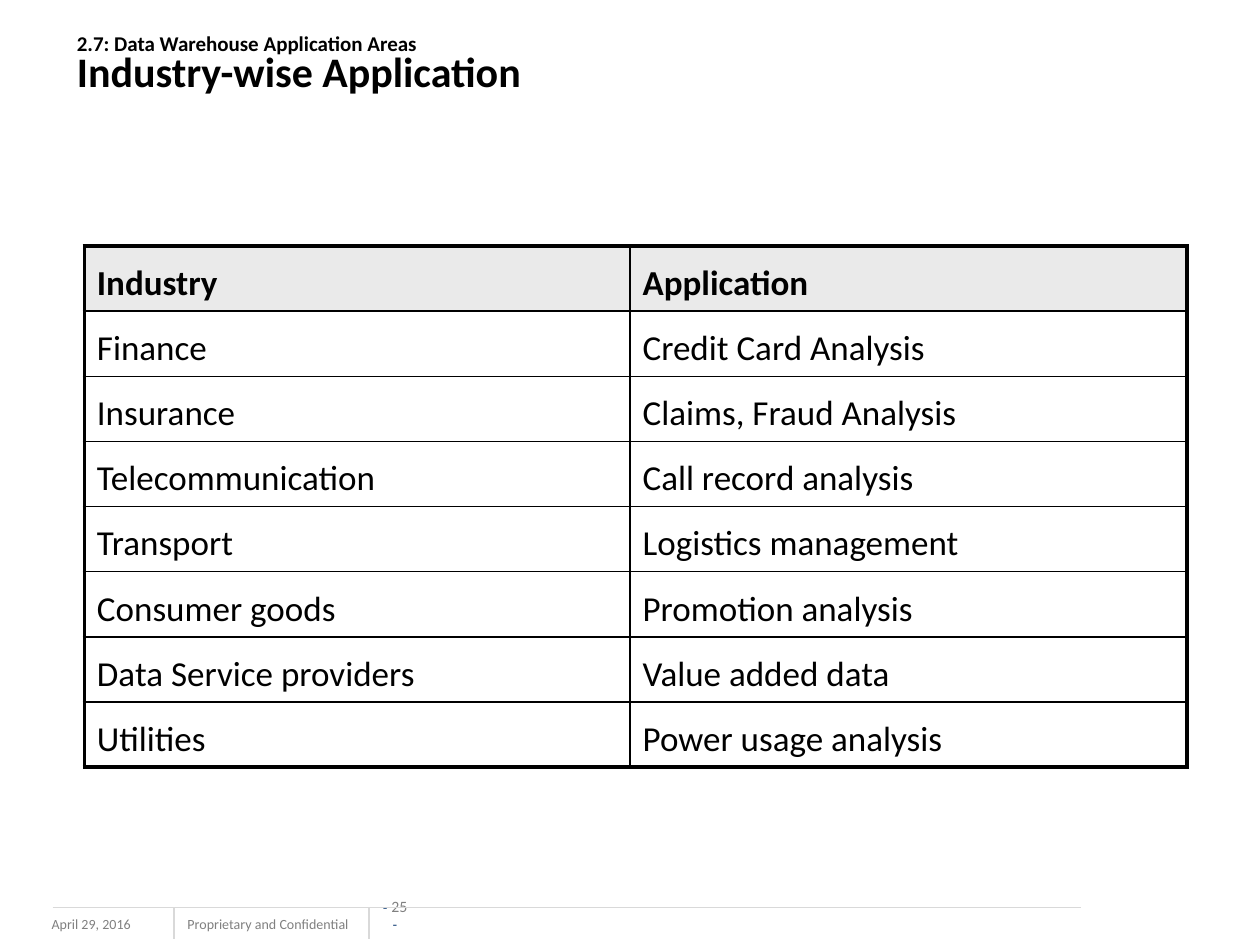
from lxml.etree import SubElement
from pptx import Presentation
from pptx.dml.color import RGBColor
from pptx.enum.shapes import MSO_CONNECTOR
from pptx.enum.text import MSO_ANCHOR, PP_ALIGN
from pptx.oxml.ns import qn
from pptx.util import Cm, Pt

BLACK = RGBColor(0x00, 0x00, 0x00)
WHITE = RGBColor(0xFF, 0xFF, 0xFF)
HEADER_GREY = RGBColor(0xEA, 0xEA, 0xEA)
TEXT_GREY = RGBColor(0x80, 0x80, 0x80)
RULE_GREY = RGBColor(0xD9, 0xD9, 0xD9)
NAVY = RGBColor(0x1F, 0x49, 0x7D)

ROWS = [
    ("Industry", "Application"),
    ("Finance", "Credit Card Analysis"),
    ("Insurance", "Claims, Fraud Analysis"),
    ("Telecommunication", "Call record analysis"),
    ("Transport", "Logistics management"),
    ("Consumer goods", "Promotion analysis"),
    ("Data Service providers", "Value added data"),
    ("Utilities", "Power usage analysis"),
]


def add_run(p, text, size, color, font="Calibri", bold=False):
    r = p.add_run()
    r.text = text
    r.font.name = font
    r.font.size = Pt(size)
    r.font.bold = bold
    r.font.color.rgb = color


def add_text_frame(s, x, y, w, h, anchor=MSO_ANCHOR.TOP, wrap=True):
    tf = s.shapes.add_textbox(Cm(x), Cm(y), Cm(w), Cm(h)).text_frame
    tf.word_wrap = wrap
    tf.vertical_anchor = anchor
    return tf


def add_rule(s, x1, y1, x2, y2):
    line = s.shapes.add_connector(MSO_CONNECTOR.STRAIGHT, Cm(x1), Cm(y1), Cm(x2), Cm(y2))
    line.line.color.rgb = RULE_GREY
    line.line.width = Pt(0.75)
    SubElement(line._element.spPr, qn("a:effectLst"))


def set_borders(cell, widths):
    """Draw black borders; widths maps each side (L, R, T, B) to points."""
    tc_pr = cell._tc.get_or_add_tcPr()
    for side, width in widths.items():
        ln = SubElement(tc_pr, qn(f"a:ln{side}"), w=str(Pt(width)))
        fill = SubElement(ln, qn("a:solidFill"))
        SubElement(fill, qn("a:srgbClr"), val=str(BLACK))


def add_title(s, x, y, w, h):
    tf = add_text_frame(s, x, y, w, h, MSO_ANCHOR.MIDDLE)
    p = tf.paragraphs[0]
    p.line_spacing = 0.8
    add_run(p, "2.7: Data Warehouse Application Areas ", 12, BLACK, bold=True)
    p.add_line_break()
    add_run(p, "Industry-wise Application", 24, BLACK, bold=True)


def add_industry_table(s, x, y, col_widths, row_height):
    n_rows, n_cols = len(ROWS), len(col_widths)
    table = s.shapes.add_table(n_rows, n_cols, Cm(x), Cm(y), Cm(sum(col_widths)),
                               Cm(row_height * n_rows)).table
    for column, width in zip(table.columns, col_widths):
        column.width = Cm(width)
    for i, texts in enumerate(ROWS):
        table.rows[i].height = Cm(row_height)
        for j, text in enumerate(texts):
            cell = table.cell(i, j)
            outer = {"L": j == 0, "R": j == n_cols - 1, "T": i == 0, "B": i == n_rows - 1}
            set_borders(cell, {side: 2.25 if edge else 1 for side, edge in outer.items()})
            cell.fill.solid()
            cell.fill.fore_color.rgb = HEADER_GREY if i == 0 else WHITE
            p = cell.text_frame.paragraphs[0]
            p.line_spacing = Pt(30)
            add_run(p, text, 20, BLACK, bold=i == 0)


def add_footer(s, x, y, w, h):
    dividers = (x + 2.45, x + 6.38)
    date = add_text_frame(s, x - 0.27, y + 0.05, 3.38, h)
    add_run(date.paragraphs[0], "April 29, 2016", 8, TEXT_GREY)
    notice = add_text_frame(s, dividers[0] + 0.02, y + 0.05, 4, h, wrap=False)
    add_run(notice.paragraphs[0], "Proprietary and Confidential", 8, TEXT_GREY)

    number = add_text_frame(s, dividers[1] + 0.25, y + 0.13, 0.55, 0.38, MSO_ANCHOR.BOTTOM)
    number.margin_left = number.margin_right = number.margin_top = number.margin_bottom = 0
    p = number.paragraphs[0]
    p.alignment = PP_ALIGN.CENTER
    add_run(p, "- ", 8, NAVY, "Arial")
    add_run(p, "25 ", 9, TEXT_GREY)
    add_run(p, "-", 8, NAVY, "Arial")

    add_rule(s, x, y, x + w, y)
    for divider in dividers:
        add_rule(s, divider, y, divider, y + h)


def main():
    prs = Presentation()
    prs.slide_width, prs.slide_height = Cm(25.4), Cm(19.05)
    s = prs.slides.add_slide(prs.slide_layouts[6])
    add_footer(s, 1.06, 18.29, 20.73, 0.63)
    add_industry_table(s, 1.7, 4.96, (11, 11.23), 1.31)
    add_title(s, 1.3, 0.33, 22.66, 1.98)
    prs.save("out.pptx")


if __name__ == "__main__":
    main()
